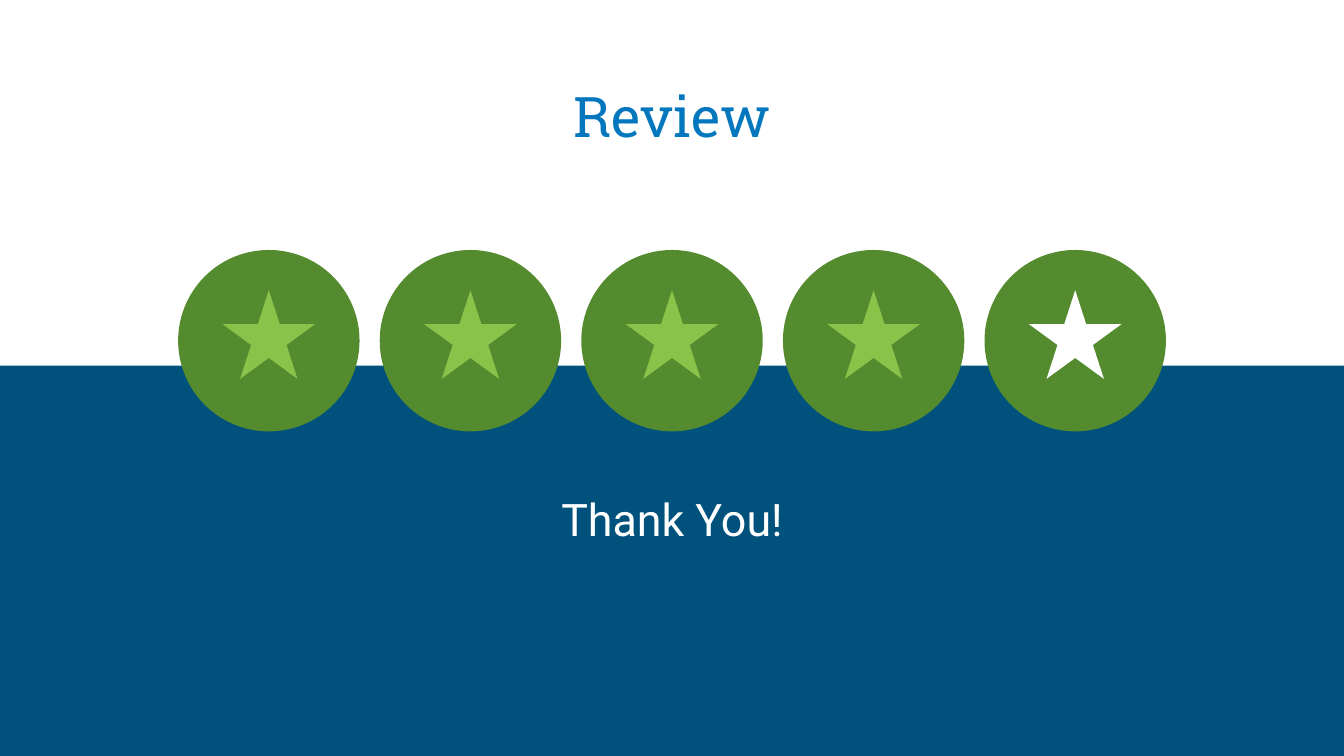
from pptx import Presentation
from pptx.dml.color import RGBColor
from pptx.enum import shapes, text
from pptx.util import Inches, Pt

WHITE = RGBColor(0xFF, 0xFF, 0xFF)
NAVY = RGBColor(0x00, 0x51, 0x7C)
BLUE = RGBColor(0x02, 0x77, 0xBD)
GREEN = RGBColor(0x55, 0x8B, 0x2F)
LIME = RGBColor(0x8B, 0xC3, 0x4A)
KIND = shapes.MSO_SHAPE


def add_plain(parent, kind, box, color):
    """Add a preset shape with a solid fill and neither line nor shadow."""
    shape = parent.add_shape(kind, *map(Inches, box))
    shape.shadow.inherit = False
    shape.fill.solid()
    shape.fill.fore_color.rgb = color
    shape.line.fill.background()
    return shape


def add_label(parent, words, box, anchor, color, form):
    frame = parent.add_textbox(*map(Inches, box)).text_frame
    frame.word_wrap = True
    frame.vertical_anchor = anchor
    for side in ("left", "top", "right", "bottom"):
        setattr(frame, f"margin_{side}", Inches(0.1))
    para = frame.paragraphs[0]
    para.alignment = text.PP_ALIGN.CENTER
    run = para.add_run()
    run.text = words
    run.font.color.rgb = color
    for name, value in form.items():
        setattr(run.font, name, value)
    return para


prs = Presentation()
prs.slide_width = Inches(10)
prs.slide_height = Inches(10 * 9 / 16)
slide = prs.slides.add_slide(prs.slide_layouts[6])
slide.background.fill.solid()
slide.background.fill.fore_color.rgb = NAVY

add_plain(slide.shapes, KIND.RECTANGLE, (0, 0, 10.02, 2.72), WHITE)
add_label(slide.shapes, "Review", (0.34, 0.41, 9.32, 0.8),
          text.MSO_ANCHOR.BOTTOM, BLUE,
          {"name": "Roboto Slab", "size": Pt(30)})

# Row of rating badges, centred on the slide
disc, pitch = 1.35, 1.5
star_w, star_h = 0.69, 0.66
stars = [LIME] * 4 + [WHITE]
first = (10 - disc - pitch * (len(stars) - 1)) / 2
for i, color in enumerate(stars):
    left = first + i * pitch
    badge = slide.shapes.add_group_shape().shapes
    add_plain(badge, KIND.OVAL, (left, 1.86, disc, disc), GREEN)
    add_plain(badge, KIND.STAR_5_POINT,
              (left + (disc - star_w) / 2, 2.16, star_w, star_h), color)

thanks = add_label(slide.shapes, "Thank You!", (0.34, 3.5, 9.32, 1.76),
                   text.MSO_ANCHOR.TOP, WHITE,
                   {"name": "Roboto", "size": Pt(24)})
thanks.line_spacing = 1.15
thanks.space_after = Pt(16)

prs.save("out.pptx")
